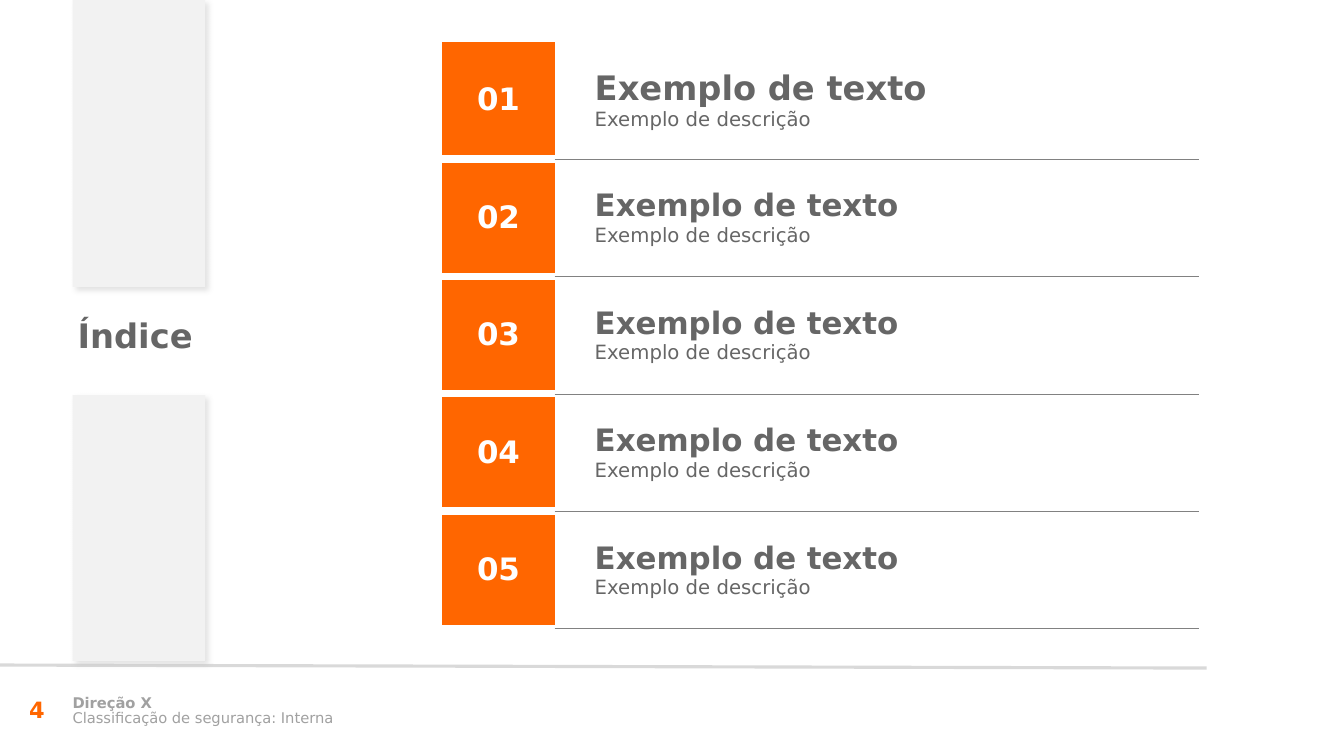
from lxml.etree import SubElement
from pptx import Presentation
from pptx.dml.color import RGBColor
from pptx.enum.shapes import MSO_CONNECTOR as Link, MSO_SHAPE as Form
from pptx.enum.text import MSO_ANCHOR as Anchor, MSO_AUTO_SIZE as Fit, PP_ALIGN as Align
from pptx.oxml.ns import qn
from pptx.util import Inches, Pt

WIDE, HIGH = Inches(13.3), Inches(7.48)
FONT = "DejaVu Sans"
ORANGE, WHITE, GREY, PALE, RULE = "FF6600", "FFFFFF", "666666", "A1A1A1", "818181"
ROWS = 5


def col(share):
    return round(WIDE * share / 100)


def row(share):
    return round(HIGH * share / 100)


def place(left, top, width, height):
    return col(left), row(top), col(width), row(height)


def color(code):
    return RGBColor.from_string(code)


def style(para, text, size, code, bold=False):
    para.text = text
    font = para.font
    font.name, font.size, font.bold = FONT, Pt(size), bold
    font.color.rgb = color(code)


def node(parent, tag, **attrs):
    return SubElement(parent, qn(tag), {key: str(val) for key, val in attrs.items()})


def add_panel(slide, *area):
    panel = slide.shapes.add_shape(Form.RECTANGLE, *place(*area))
    panel.fill.solid()
    panel.fill.fore_color.rgb = color("F2F2F2")
    panel.line.fill.background()
    panel.shadow.inherit = False
    effects = panel._element.spPr.find(qn("a:effectLst"))
    shade = node(effects, "a:outerShdw", blurRad=Pt(4), dist=Pt(3),
                 dir=45 * 60000, algn="tl", rotWithShape=0)
    tint = node(shade, "a:srgbClr", val="BFBFBF")
    node(tint, "a:alpha", val=43000)


def add_rule(slide, left, top, right, end):
    rule = slide.shapes.add_connector(Link.STRAIGHT, col(left), row(top), col(right), row(end))
    rule.line.color.rgb = color("D9D9D9")
    rule.line.width = Pt(2.25)
    node(rule._element.spPr, "a:effectLst")


def add_label(slide, area, text, size, code, bold=True, grow=True, gap=None):
    frame = slide.shapes.add_textbox(*place(*area)).text_frame
    frame.word_wrap = True
    frame.vertical_anchor = Anchor.MIDDLE
    frame.auto_size = Fit.SHAPE_TO_FIT_TEXT if grow else Fit.NONE
    para = frame.paragraphs[0]
    style(para, text, size, code, bold)
    if grow:
        para.space_before, para.space_after = Pt(6), Pt(4)
    if gap:
        para.line_spacing = gap


def set_edges(cell, **edges):
    props = cell._tc.get_or_add_tcPr()
    for side in "LRTB":
        code, width = edges.get(side, (WHITE, 1))
        line = node(props, f"a:ln{side}", w=Pt(width))
        node(node(line, "a:solidFill"), "a:srgbClr", val=code)


def fill_number(cell, index):
    cell.vertical_anchor = Anchor.MIDDLE
    set_edges(cell, T=(WHITE, 6 if index else 1), B=(WHITE, 6))
    cell.fill.solid()
    cell.fill.fore_color.rgb = color(ORANGE)
    para = cell.text_frame.paragraphs[0]
    style(para, f"{index + 1:02}", 22, WHITE, True)
    para.alignment = Align.CENTER


def fill_topic(cell, index):
    cell.vertical_anchor = Anchor.MIDDLE
    set_edges(cell, T=(RULE, 0.25) if index else (WHITE, 1), B=(RULE, 0.25))
    cell.fill.background()
    frame = cell.text_frame
    title, note = frame.paragraphs[0], frame.add_paragraph()
    style(title, "Exemplo de texto", 22 if index else 24, GREY, True)
    style(note, "Exemplo de descrição", 14, GREY)
    for para in (title, note):
        para._p.get_or_add_pPr().set("marL", str(Inches(0.29)))


def add_index(slide, left, top, widths, height):
    area = place(left, top, sum(widths), height)
    table = slide.shapes.add_table(ROWS, len(widths), *area).table
    table.first_row = table.horz_banding = False
    for column, width in zip(table.columns, widths):
        column.width = col(width)
    for index, line in enumerate(table.rows):
        line.height = row(height / ROWS)
        fill_number(table.cell(index, 0), index)
        fill_topic(table.cell(index, 1), index)


def main():
    deck = Presentation()
    deck.slide_width, deck.slide_height = WIDE, HIGH
    slide = deck.slides.add_slide(deck.slide_layouts[6])
    add_rule(slide, 0, 87.97, 89.77, 88.37)
    add_label(slide, (4.66, 91.44, 56.62, 3.34), "Direção X", 10.5, PALE, gap=0.85)
    add_label(slide, (4.66, 93.45, 56.62, 3.34), "Classificação de segurança: Interna",
              10.5, PALE, bold=False, gap=0.85)
    add_panel(slide, 5.41, 0, 9.85, 37.97)
    add_panel(slide, 5.41, 52.27, 9.85, 35.16)
    add_index(slide, 32.86, 5.48, (8.46, 47.82), 77.67)
    add_label(slide, (5.04, 40.91, 14.89, 6.68), "Índice", 24, GREY)
    add_label(slide, (1.43, 91.18, 5.19, 5.35), "4", 16, ORANGE, grow=False)
    deck.save("out.pptx")


if __name__ == "__main__":
    main()
